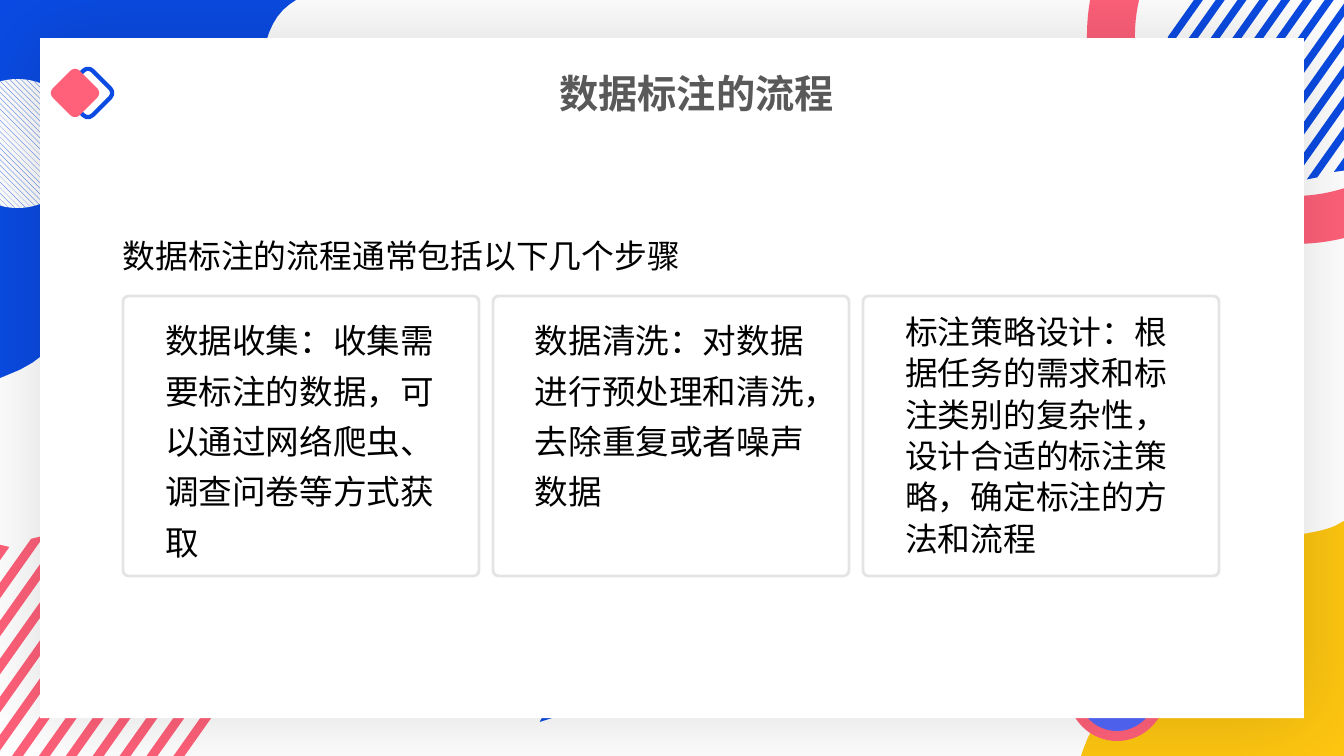
from math import acos, asin, cos, pi, sin, sqrt

from lxml import etree
from pptx import Presentation
from pptx.dml.color import RGBColor
from pptx.enum.dml import MSO_PATTERN
from pptx.enum.shapes import MSO_SHAPE
from pptx.enum.text import MSO_ANCHOR, PP_ALIGN
from pptx.oxml.ns import qn
from pptx.util import Emu, Pt

PX = 914400 / 100.8
WIDTH, HEIGHT = 1344, 756

BLUE = RGBColor(0x0B, 0x4B, 0xE3)
VIOLET = RGBColor(0x52, 0x67, 0xFA)
PINK = RGBColor(0xFF, 0x61, 0x7A)
YELLOW = RGBColor(0xFE, 0xC6, 0x11)
WHITE = RGBColor(0xFF, 0xFF, 0xFF)
BLACK = RGBColor(0, 0, 0)
GREY = RGBColor(0x59, 0x59, 0x59)
BORDER = RGBColor(0xE4, 0xE4, 0xE4)

OVAL = MSO_SHAPE.OVAL
ROUNDED = MSO_SHAPE.ROUNDED_RECTANGLE
TRIANGLE = MSO_SHAPE.RIGHT_TRIANGLE
CAN = MSO_SHAPE.CAN
HATCH = MSO_PATTERN.WIDE_DOWNWARD_DIAGONAL
TOP, MIDDLE = MSO_ANCHOR.TOP, MSO_ANCHOR.MIDDLE
LEFT, CENTER = PP_ALIGN.LEFT, PP_ALIGN.CENTER

TITLE_FONT, BODY_FONT = "Noto Sans CJK SC", "Cabin"


def px(length):
    return Emu(round(length * PX))


def bezier(start, first, second, end, steps=24):
    """Points along a cubic curve, without its start."""
    points = []
    for step in range(1, steps + 1):
        t = step / steps
        weights = ((1 - t) ** 3, 3 * t * (1 - t) ** 2, 3 * t * t * (1 - t), t ** 3)
        points.append(tuple(sum(w * p[axis] for w, p in zip(weights, (start, first, second, end)))
                            for axis in (0, 1)))
    return points


def arc(center, radius, start, end, steps=48):
    angles = [start + (end - start) * step / steps for step in range(steps + 1)]
    return [(center[0] + radius * cos(a), center[1] + radius * sin(a)) for a in angles]


def stripes(feet, thickness, edge, wall, sign, center, radius):
    """Slanted bands from a slide edge or side wall to a circle."""
    def ends(foot):
        dx, dy = foot - center[0], edge - center[1]
        b = sign * (dx - sqrt(2) * dy)
        near = max(0, sign * (wall - foot))
        far = max(near, (-b + sqrt(b * b - 3 * (dx * dx + dy * dy - radius ** 2))) / 3)
        return [(foot + sign * t, edge - sign * sqrt(2) * t) for t in (near, far)]

    return [ends(foot) + ends(foot + thickness)[::-1] for foot in feet]


class SlideBuilder:
    def __init__(self, presentation):
        self.slide = presentation.slides.add_slide(presentation.slide_layouts[6])

    def finish(self, shape, fill=None, line=None, line_width=1):
        shape.shadow.inherit = False
        if fill is None:
            shape.fill.background()
        else:
            shape.fill.solid()
            shape.fill.fore_color.rgb = fill
        if line is None:
            shape.line.fill.background()
        else:
            shape.line.color.rgb = line
            shape.line.width = Pt(line_width)
        return shape

    def shape(self, kind, left, top, width, height, rotation=0, corner=None, **style):
        shape = self.slide.shapes.add_shape(kind, px(left), px(top), px(width), px(height))
        shape.rotation = rotation
        if corner is not None:
            shape.adjustments[0] = corner
        return self.finish(shape, **style)

    def hatched_circle(self, left, top, size):
        circle = self.shape(OVAL, left, top, size, size)
        circle.fill.patterned()
        circle.fill.pattern = HATCH
        circle.fill.fore_color.rgb = BLUE
        circle.fill.back_color.rgb = WHITE

    def outline(self, contours, fill):
        contours = [[(px(x), px(y)) for x, y in contour] for contour in contours]
        builder = self.slide.shapes.build_freeform(*contours[0][0], scale=1.0)
        for index, contour in enumerate(contours):
            if index:
                builder.move_to(*contour[0])
            builder.add_line_segments(contour[1:], close=True)
        self.finish(builder.convert_to_shape(), fill)

    def panel(self, left, top, width, height):
        panel = self.shape(ROUNDED, left, top, width, height, corner=0, fill=WHITE)
        effects = panel._element.spPr.find(qn("a:effectLst"))
        shadow = etree.SubElement(effects, qn("a:outerShdw"), blurRad=str(Pt(60)),
                                  dist="0", dir="0", algn="ctr", rotWithShape="0")
        color = etree.SubElement(shadow, qn("a:srgbClr"), val=str(BLACK))
        etree.SubElement(color, qn("a:alpha"), val="15000")

    def text(self, text, left, top, width, height, size=24, font=BODY_FONT, color=BLACK,
             bold=False, align=LEFT, anchor=TOP, spacing=1.0):
        box = self.slide.shapes.add_textbox(px(left), px(top), px(width), px(height))
        frame = box.text_frame
        frame.word_wrap = True
        frame.vertical_anchor = anchor
        frame.margin_left = frame.margin_right = frame.margin_top = frame.margin_bottom = 0
        paragraph = frame.paragraphs[0]
        paragraph.alignment = align
        paragraph.line_spacing = spacing
        run = paragraph.add_run()
        run.text = text
        run.font.size, run.font.bold, run.font.name = Pt(size), bold, font
        run.font.color.rgb = color
        etree.SubElement(run.font._element, qn("a:ea"), typeface=font)


def draw_background(builder):
    # Corner blobs
    builder.outline([[(1344, 521), (1344, 756), (1081, 756), (1083, 750)]
                     + bezier((1083, 750), (1119, 645), (1212, 758), (1218, 622))
                     + bezier((1218, 622), (1224, 522), (1293, 544), (1335, 526))], YELLOW)
    builder.outline([[(0, 0), (296, 0), (290, 4)]
                     + bezier((290, 4), (231, 46), (297, 180), (158, 192))
                     + bezier((158, 192), (-1, 200), (137, 328), (5, 376))
                     + [(0, 378)]], BLUE)
    builder.hatched_circle(-47, 79, 129)

    # Small shapes at the panel's edges
    builder.shape(OVAL, 1068, 643, 98, 98, fill=PINK)
    builder.shape(OVAL, 1078, 653, 78, 78, fill=VIOLET)
    builder.shape(TRIANGLE, 529, 652, 62, 62, rotation=252.5, fill=BLUE)

    # Striped discs and ring, cut at the slide edges
    builder.outline(stripes([12 + 26.9 * k for k in range(-6, 7)], 11,
                            HEIGHT, 0, 1, (72, 680), 147), PINK)
    ring, outer, inner = (1295, 36), 208, 160
    side = WIDTH - ring[0]
    builder.outline([arc(ring, outer, pi + asin(ring[1] / outer), acos(side / outer))
                     + arc(ring, inner, acos(side / inner), pi + asin(ring[1] / inner))], PINK)
    builder.outline(stripes([1194 + 21.8 * k for k in range(13)], 9,
                            0, WIDTH, -1, (1288, 59), 122), BLUE)
    builder.shape(CAN, 1229, 457, 59, 80, rotation=52, fill=PINK, line=BLUE)


def main():
    presentation = Presentation()
    presentation.slide_width, presentation.slide_height = px(WIDTH), px(HEIGHT)
    builder = SlideBuilder(presentation)
    draw_background(builder)

    # White panel and title with its diamonds
    builder.panel(40, 38, 1264, 680)
    builder.shape(ROUNDED, 69, 74, 38, 38, rotation=45, line=BLUE, line_width=3)
    builder.shape(ROUNDED, 56, 74, 38, 38, rotation=45, fill=PINK)
    builder.text("数据标注的流程", 114, 64, 1165, 57, size=28, font=TITLE_FONT,
                 color=GREY, bold=True, align=CENTER, anchor=MIDDLE)

    # Introduction and step cards
    builder.text("数据标注的流程通常包括以下几个步骤", 123, 234, 1098, 42, size=23.4, spacing=1.05)
    steps = [
        ("数据收集：收集需要标注的数据，可以通过网络爬虫、调查问卷等方式获取", 24, 1.25),
        ("数据清洗：对数据进行预处理和清洗，去除重复或者噪声数据", 24, 1.25),
        ("标注策略设计：根据任务的需求和标注类别的复杂性，设计合适的标注策略，确定标注的方法和流程",
         23.4, 1.05),
    ]
    for index, (step, size, spacing) in enumerate(steps):
        left = 123 + 370 * index
        builder.shape(ROUNDED, left, 296, 356, 280, corner=0.02,
                      fill=WHITE, line=BORDER, line_width=2)
        builder.text(step, left + 42, 310, 271, 252, size=size, spacing=spacing)

    presentation.save("out.pptx")


if __name__ == "__main__":
    main()
